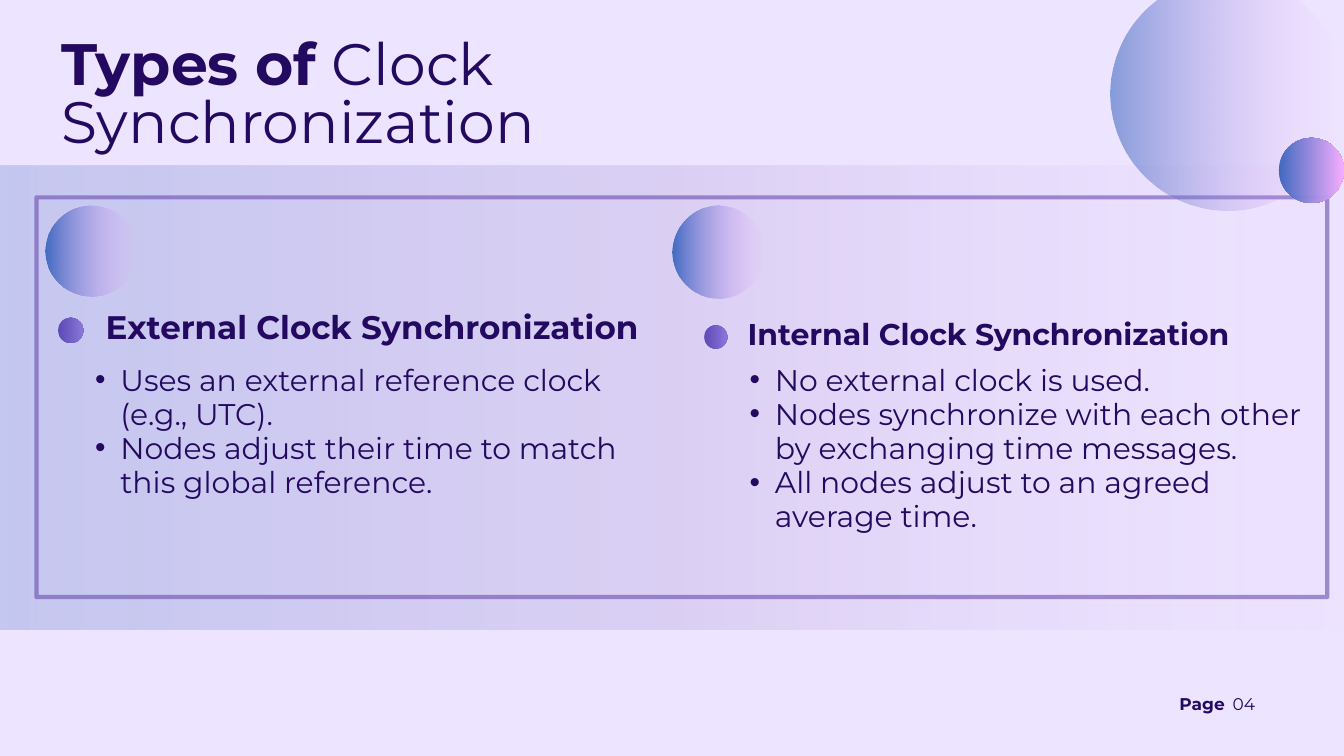
import pptx
import pptx.util
import pptx.dml.color
import pptx.enum.shapes
import pptx.enum.text
import pptx.oxml.ns
from dataclasses import dataclass
from lxml import etree

PX = 9525  # EMU in one px: the slide is 1920 by 1080
qn = pptx.oxml.ns.qn
KIND = pptx.enum.shapes.MSO_SHAPE
TEXT = pptx.enum.text


@dataclass(frozen=True)
class Theme:
    font: str = "Montserrat"
    back: str = "EDE5FF"
    ink: str = "240960"
    edge: str = "6B4CAF"
    # Gradient stops: position, colour, opacity (all in percent)
    band: tuple = ((0, "3C67BF", 23), (50, "6B4CAF", 13), (100, "F7ACFF", 0))
    fade: tuple = ((0, "3C67BF", 96), (100, "F7ACFF", 0))
    pale: tuple = ((0, "3C67BF", 58), (100, "F7ACFF", 0))
    glow: tuple = ((0, "3C67BF", 96), (100, "F7ACFF", 96))
    dot: tuple = ((0, "5B45B5", 96), (100, "8875D7", 96))
    # Type sizes and line pitch in points
    title: tuple = (62.6, 62)
    body: tuple = (32, 36.5)
    page: tuple = (18.2, 18.6)


T = Theme()

# Each column: orb, dot, heading box, heading type, list box, wording
COLS = (
    ((65, 293, 131), (83, 454, 36), (151, 457, 876, 42), (34.9, 27.9),
     (99, 519, 785, 193), "External Clock Synchronization",
     ("Uses an external reference clock (e.g., UTC).",
      "Nodes adjust their time to match this global reference.")),
    ((960, 294, 132), (1006, 465, 33), (1068, 468, 804, 37), (32.1, 25.7),
     (1034, 519, 852, 289), "Internal Clock Synchronization",
     ("No external clock is used.",
      "Nodes synchronize with each other by exchanging time messages.",
      "All nodes adjust to an agreed average time.")),
)


def emu(box):
    return [n * PX for n in box]


def rgb(code):
    return pptx.dml.color.RGBColor.from_string(code)


def fade(color, alpha):
    etree.SubElement(color, qn("a:alpha"), val=str(alpha * 1000))


def shape(slide, kind, box, stops=None):
    """Add a plain shape, with a left-to-right gradient if stops are given."""
    item = slide.shapes.add_shape(kind, *emu(box))
    item.shadow.inherit = False
    item.line.fill.background()
    if not stops:
        item.fill.background()
        return item
    item.fill.gradient()
    item.fill.gradient_angle = 0
    group = next(item.element.iter(qn("a:gsLst")))
    for old in list(group):
        group.remove(old)
    for pos, code, alpha in stops:
        stop = etree.SubElement(group, qn("a:gs"), pos=str(pos * 1000))
        fade(etree.SubElement(stop, qn("a:srgbClr"), val=code), alpha)
    return item


def orb(slide, left, top, size, stops):
    shape(slide, KIND.OVAL, (left, top, size, size), stops)


def frame(slide, box):
    item = shape(slide, KIND.RECTANGLE, box)
    item.line.color.rgb = rgb(T.edge)
    item.line.width = pptx.util.Pt(4.5)
    fade(next(item.line.fill._xPr.iter(qn("a:srgbClr"))), 60)


def setup(body):
    body.word_wrap = True
    body.margin_left = body.margin_right = 0
    body.margin_top = body.margin_bottom = 0
    body.vertical_anchor = TEXT.MSO_ANCHOR.TOP


def write(par, runs, style):
    """Fill a paragraph with (text, bold) runs."""
    size, pitch = style
    par.alignment = TEXT.PP_ALIGN.LEFT
    par.line_spacing = pptx.util.Pt(pitch)
    par.space_before = par.space_after = pptx.util.Pt(0)
    for words, bold in runs:
        run = par.add_run()
        run.text = words
        run.font.name = T.font
        run.font.size = pptx.util.Pt(size)
        run.font.bold = bold
        run.font.color.rgb = rgb(T.ink)


def label(slide, box, words, style, bold):
    body = slide.shapes.add_textbox(*emu(box)).text_frame
    setup(body)
    write(body.paragraphs[0], [(words, bold)], style)


def points(slide, box, lines):
    body = slide.shapes.add_textbox(*emu(box)).text_frame
    setup(body)
    for i, words in enumerate(lines):
        par = body.add_paragraph() if i else body.paragraphs[0]
        par.level = 1
        write(par, [(words, False)], T.body)
        props = par._p.get_or_add_pPr()
        props.set("marL", str(73 * PX))
        props.set("indent", str(-36 * PX))
        etree.SubElement(props, qn("a:buFont"), typeface="Arial")
        etree.SubElement(props, qn("a:buChar"), char="•")


def title(slide, box, runs):
    item = slide.shapes.title
    item.left, item.top, item.width, item.height = emu(box)
    setup(item.text_frame)
    item.text_frame.auto_size = TEXT.MSO_AUTO_SIZE.NONE
    write(item.text_frame.paragraphs[0], runs, T.title)


def main():
    deck = pptx.Presentation()
    deck.slide_width, deck.slide_height = emu((1920, 1080))
    slide = deck.slides.add_slide(deck.slide_layouts[5])
    slide.background.fill.solid()
    slide.background.fill.fore_color.rgb = rgb(T.back)

    # Band and frame behind the content
    shape(slide, KIND.RECTANGLE, (-45, 236, 2078, 663), T.band)
    frame(slide, (52, 282, 1844, 571))

    title(slide, (88, 56, 797, 170),
          [("Types of", True), (" Clock Synchronization", False)])

    # Two columns
    for ball, dot, head, style, box, name, lines in COLS:
        orb(slide, *ball, T.fade)
        orb(slide, *dot, T.dot)
        label(slide, head, name, style, True)
        points(slide, box, lines)

    # Corner orbs
    orb(slide, 1586, -33, 334, T.pale)
    orb(slide, 1827, 197, 93, T.glow)

    # Page number
    label(slide, (1685, 995, 76, 26), "Page", T.page, True)
    label(slide, (1761, 995, 51, 26), "04", T.page, False)

    deck.save("out.pptx")


if __name__ == "__main__":
    main()
